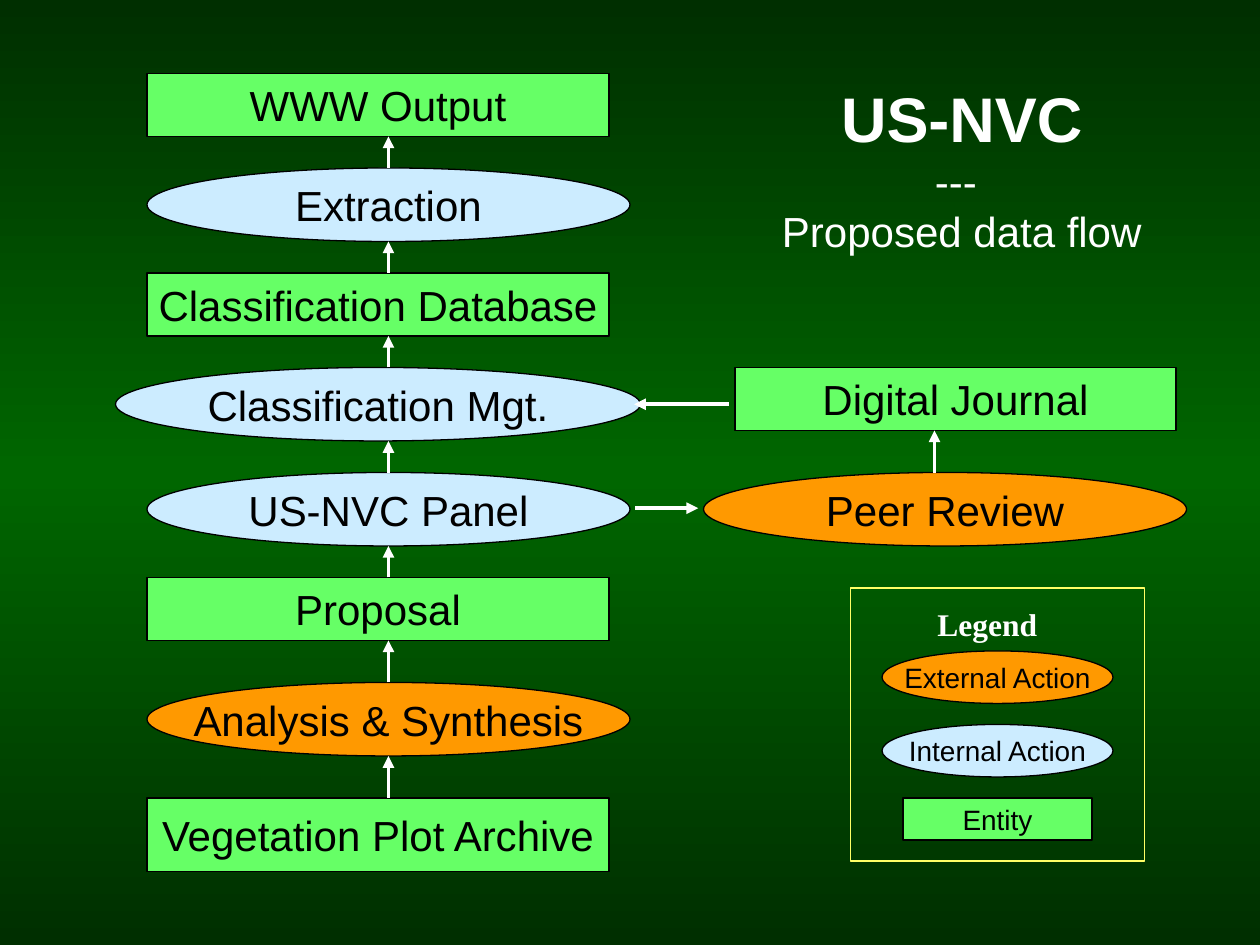
from itertools import pairwise
from copy import deepcopy

from pptx import Presentation
from pptx.dml.color import RGBColor as RGB
from pptx.enum.shapes import MSO_CONNECTOR as Conn, MSO_SHAPE as Kind
from pptx.enum.text import MSO_ANCHOR as Anchor, MSO_AUTO_SIZE as Fit, PP_ALIGN as Align
from pptx.oxml.ns import qn
from pptx.oxml.xmlchemy import OxmlElement as Elem
from pptx.util import Emu, Pt

PX = 7620  # 120 px to the inch
WHITE, BLACK, YELLOW = "FFFFFF", "000000", "FFFF66"
LOOKS = {
    "entity": (Kind.RECTANGLE, "66FF66"),
    "internal": (Kind.OVAL, "CCECFF"),
    "external": (Kind.OVAL, "FF9900"),
}


def px(*nums):
    return [Emu(n * PX) for n in nums]


def paint(color, code):
    color.rgb = RGB.from_string(code)


def style(font, code, **values):
    for name, value in values.items():
        setattr(font, name, value)
    paint(font.color, code)


def outline(shape, code):
    shape.shadow.inherit = False
    shape.line.width = Pt(0.75)
    paint(shape.line.color, code)


def node(slide, text, look, x, y, w, h, size=24):
    """Add one labelled box or oval of the flow."""
    kind, fill = LOOKS[look]
    shape = slide.shapes.add_shape(kind, *px(x, y, w, h))
    outline(shape, BLACK)
    shape.fill.solid()
    paint(shape.fill.fore_color, fill)
    frame = shape.text_frame
    frame.word_wrap = False
    frame.vertical_anchor = Anchor.MIDDLE
    para = frame.paragraphs[0]
    para.alignment = Align.CENTER
    run = para.add_run()
    run.text = text
    style(run.font, BLACK, name="Arial", size=Pt(size))


def arrow(slide, x1, y1, x2, y2):
    line = slide.shapes.add_connector(Conn.STRAIGHT, *px(x1, y1, x2, y2))
    line.line.width = Pt(2.25)
    paint(line.line.color, WHITE)
    tail = Elem("a:tailEnd")
    tail.set("type", "triangle")
    line.line._get_or_add_ln().append(tail)
    line._element.spPr.append(Elem("a:effectLst"))


def backdrop(slide):
    fill = slide.background.fill
    fill.gradient()
    fill.gradient_angle = 270
    stops = slide._element.find(".//" + qn("a:gsLst"))
    stops.insert(1, deepcopy(stops[0]))
    codes = ("002F00", "006600", "002F00")
    for i, (stop, code) in enumerate(zip(fill.gradient_stops, codes)):
        stop.position = i / 2
        paint(stop.color, code)


def heading(slide, x, y, w, h):
    title = slide.shapes.title
    title.left, title.top, title.width, title.height = px(x, y, w, h)
    frame = title.text_frame
    frame.auto_size = Fit.NONE
    frame.vertical_anchor = Anchor.TOP
    first, last = frame.paragraphs[0], frame.add_paragraph()
    for para, text, size, bold in (
        (first, "US-NVC", 36, True),
        (first, "--- ", 24, False),
        (last, "Proposed data flow", 24, False),
    ):
        if para.runs:
            para.add_line_break()
        para.alignment = Align.CENTER
        run = para.add_run()
        run.text = text
        style(run.font, WHITE, name="Arial", size=Pt(size), bold=bold)


def main_flow(slide, x, y, w):
    steps = [  # text, look, top, width, height
        ("WWW Output", "entity", 0, 440, 60),
        ("Extraction", "internal", 90, 460, 70),
        ("Classification Database", "entity", 190, 440, 60),
        ("Classification Mgt.", "internal", 280, w, 70),
        ("US-NVC Panel", "internal", 380, 460, 70),
        ("Proposal", "entity", 480, 440, 60),
        ("Analysis & Synthesis", "external", 580, 460, 70),
        ("Vegetation Plot Archive", "entity", 690, 440, 70),
    ]
    for text, look, top, wide, high in steps:
        inset = 0 if wide == w else 30
        node(slide, text, look, x + inset, y + top, wide, high)
    for (_, _, top, _, high), (_, _, low, _, _) in pairwise(steps):
        arrow(slide, x + 260, y + low, x + 260, y + top + high)


def review(slide, x, y):
    node(slide, "Digital Journal", "entity", x + 100, y, 420, 60)
    node(slide, "Peer Review", "external", x + 70, y + 100, 460, 70)
    for x1, y1, x2, y2 in (
        (5, 134, 65, 134),
        (290, 100, 290, 60),
        (94, 35, 4, 35),
    ):
        arrow(slide, x + x1, y + y1, x + x2, y + y2)


def legend(slide, x, y, w, h):
    frame = slide.shapes.add_shape(Kind.RECTANGLE, *px(x, y, w, h))
    frame.fill.background()
    outline(frame, YELLOW)
    label = slide.shapes.add_textbox(*px(x + 71, y + 10, 119, 48)).text_frame
    label.word_wrap = False
    label.auto_size = Fit.SHAPE_TO_FIT_TEXT
    run = label.paragraphs[0].add_run()
    run.text = "Legend"
    style(run.font, WHITE, name="Times New Roman", size=Pt(18), bold=True)
    keys = (
        ("External Action", "external", 220, 50),
        ("Internal Action", "internal", 220, 50),
        ("Entity", "entity", 180, 40),
    )
    for i, (text, look, wide, high) in enumerate(keys):
        node(slide, text, look, x + (w - wide) // 2, y + 60 + 70 * i, wide, high, 16)


def main():
    deck = Presentation()
    deck.slide_width, deck.slide_height = px(1200, 900)
    slide = deck.slides.add_slide(deck.slide_layouts[5])
    backdrop(slide)
    heading(slide, 656, 70, 520, 180)
    main_flow(slide, 110, 70, 500)
    review(slide, 600, 350)
    legend(slide, 810, 560, 280, 260)
    deck.save("out.pptx")


if __name__ == "__main__":
    main()
